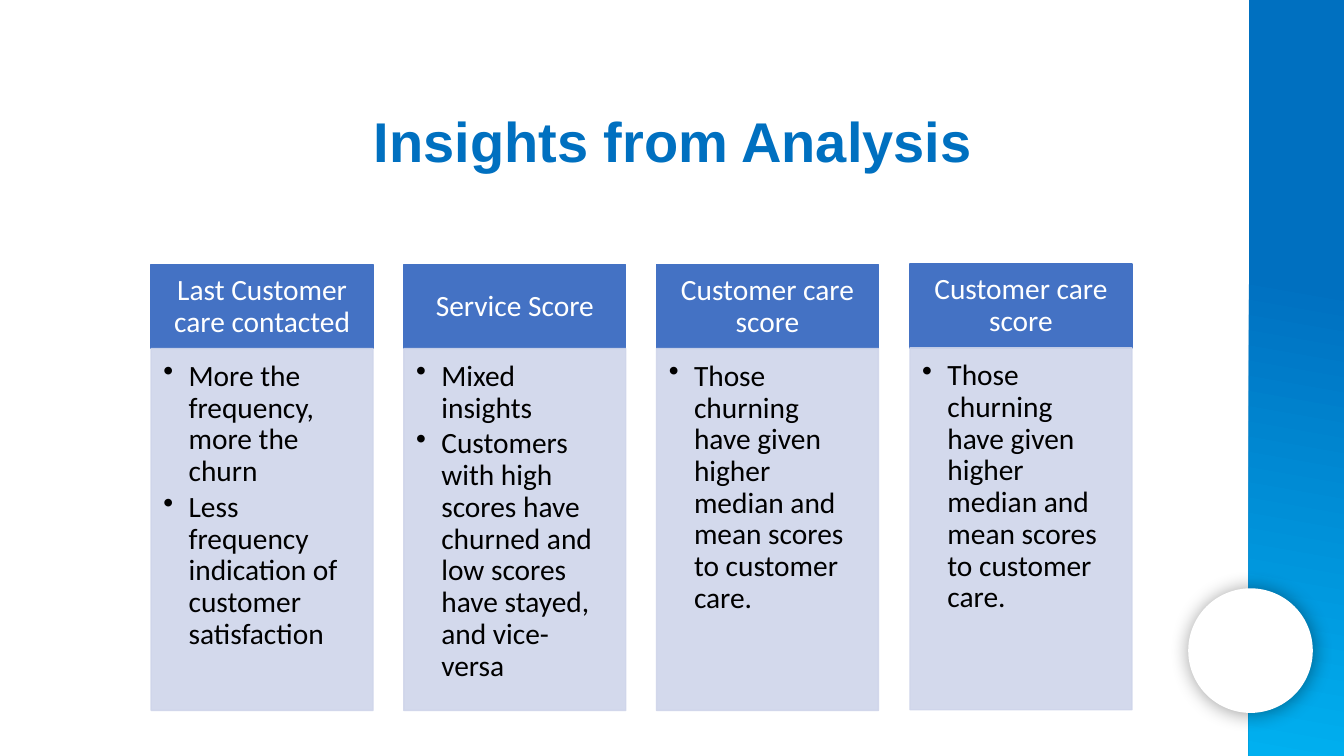
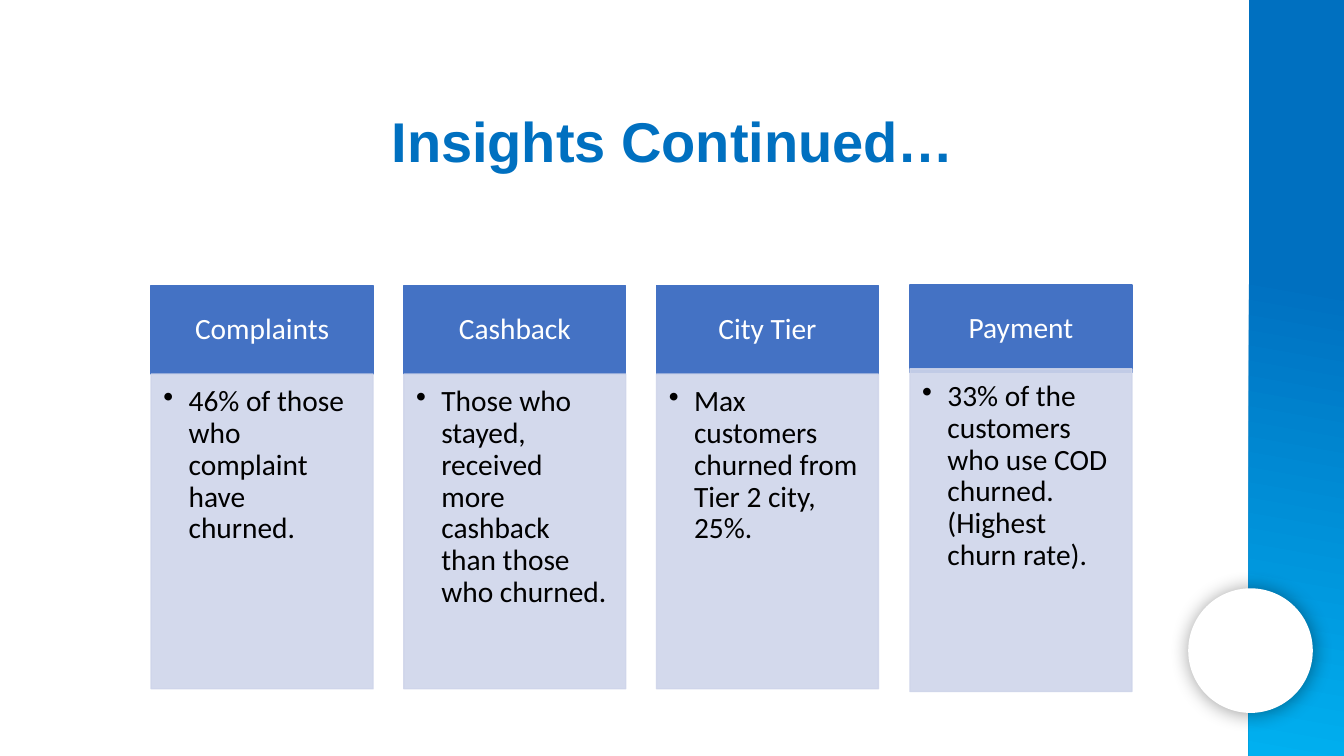
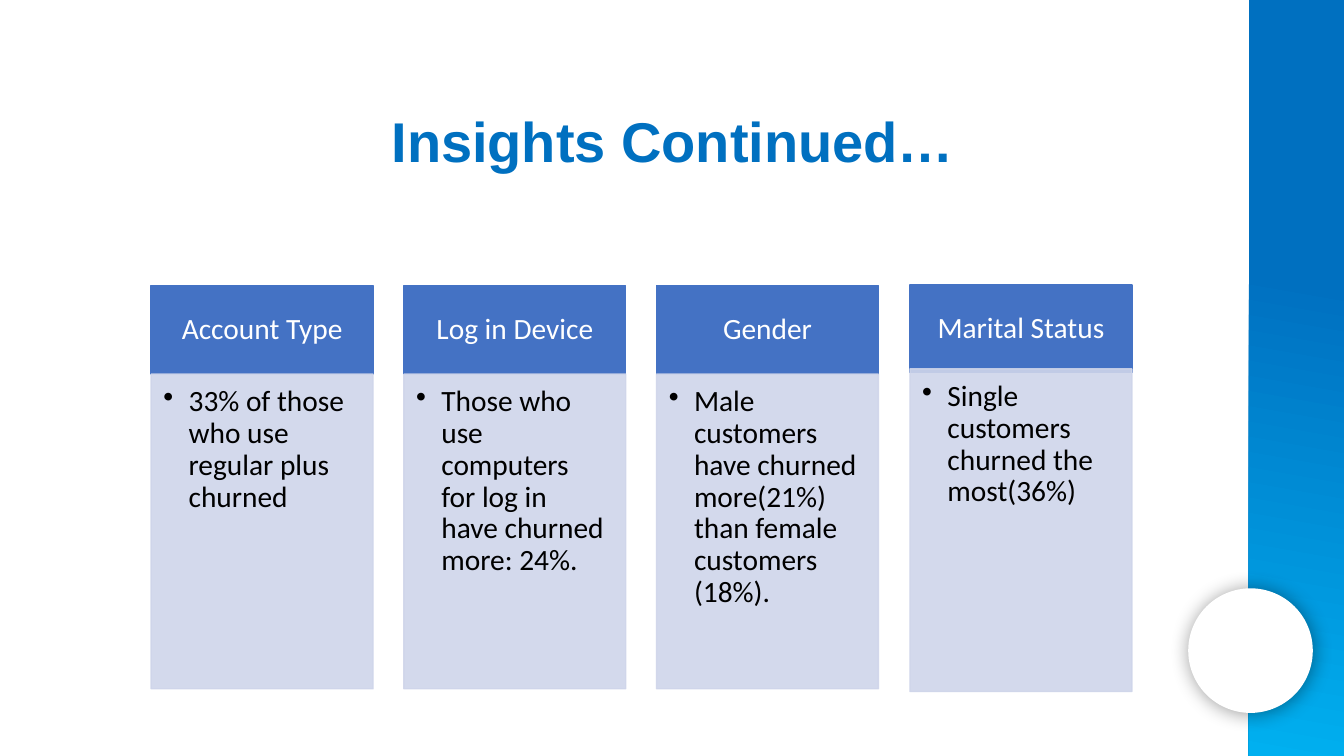
from lxml.etree import SubElement
from pptx import Presentation
from pptx.dml.color import RGBColor
from pptx.enum.shapes import MSO_SHAPE
from pptx.enum.text import MSO_ANCHOR, MSO_AUTO_SIZE, PP_ALIGN
from pptx.oxml.ns import qn
from pptx.util import Pt

COLORS = {name: RGBColor.from_string(value) for name, value in {
    "title": "0070C0",
    "band_end": "00B0F0",
    "header": "4472C4",
    "body": "CFD5EA",
    "white": "FFFFFF",
    "black": "000000",
}.items()}

# Each row layout: header top, header height, body top, body height
TALL = {"main": (189, 60, 249, 258.5), "last": (188.5, 60, 248.5, 258.5)}
SHORT = {"main": (204, 63.25, 267.25, 224.75), "last": (203.5, 62.5, 263.5, 230.5)}

CARE_SCORE = ("Customer care score", [
    "Those churning have given higher median and mean scores to customer care."])

SLIDES = [
    ("Insights from Analysis", TALL, [
        ("Last Customer care contacted", [
            "More the frequency, more the churn",
            "Less frequency indication of customer satisfaction"]),
        ("Service Score", [
            "Mixed insights",
            "Customers with high scores have churned and low scores have stayed, "
            "and vice-versa"]),
        CARE_SCORE,
        CARE_SCORE,
    ]),
    ("Insights Continued…", SHORT, [
        ("Complaints", ["46% of those who complaint have churned."]),
        ("Cashback", ["Those who stayed, received more cashback than those who churned."]),
        ("City Tier", ["Max customers churned from Tier 2 city, 25%."]),
        ("Payment", ["33% of the customers who use COD churned. (Highest churn rate)."]),
    ]),
    ("Insights Continued…", SHORT, [
        ("Account Type", ["33% of those who use regular plus churned"]),
        ("Log in Device", ["Those who use computers for log in have churned more: 24%."]),
        ("Gender", ["Male customers have churned more(21%) than female customers (18%)."]),
        ("Marital Status", ["Single customers churned the most(36%)"]),
    ]),
]

COLUMN_LEFT, COLUMN_STEP, COLUMN_WIDTH = 108, 180.5, 158.5
LAST_COLUMN_SHIFT = 0.5
HEADER_INSETS = (11.75, 6.75, 11.75, 6.75)
BODY_INSETS = (8.75, 8.75, 11.75, 13.25)
BULLET_INDENT = 18


def add_plain_shape(slide, kind, box, color=None):
    shape = slide.shapes.add_shape(kind, *(Pt(length) for length in box))
    shape.shadow.inherit = False
    shape.line.fill.background()
    if color:
        shape.fill.solid()
        shape.fill.fore_color.rgb = COLORS[color]
    return shape


def set_font(paragraph, name, size, color, bold=False):
    font = paragraph.font
    font.name, font.size, font.bold = name, Pt(size), bold
    font.color.rgb = COLORS[color]


def add_bullet(paragraph):
    properties = paragraph._p.get_or_add_pPr()
    properties.set("marL", str(Pt(BULLET_INDENT)))
    properties.set("indent", str(-Pt(BULLET_INDENT)))
    SubElement(properties, qn("a:buChar")).set("char", "•")


def add_soft_shadow(shape):
    effects = shape._element.spPr.find(qn("a:effectLst"))
    shadow = SubElement(effects, qn("a:outerShdw"), blurRad=str(Pt(14)),
                        dist=str(Pt(1)), dir=str(43 * 60000), rotWithShape="0")
    color = SubElement(shadow, qn("a:srgbClr"), val=str(COLORS["black"]))
    SubElement(color, qn("a:alpha"), val="40000")


def add_frame(slide, title):
    """Draw the side band, the circle on it and the title."""
    band = add_plain_shape(slide, MSO_SHAPE.RECTANGLE, (892, 0, 68, 540))
    band.fill.gradient()
    band.fill.gradient_angle = 260
    stops = ((0.37, "title"), (1, "band_end"))
    for stop, (position, color) in zip(band.fill.gradient_stops, stops):
        stop.position = position
        stop.color.rgb = COLORS[color]

    circle = add_plain_shape(slide, MSO_SHAPE.OVAL, (848.75, 420.25, 89, 89), "white")
    add_soft_shadow(circle)

    title_box = slide.shapes.add_textbox(Pt(60), Pt(72.5), Pt(841), Pt(55.5))
    frame = title_box.text_frame
    frame.word_wrap = True
    frame.auto_size = MSO_AUTO_SIZE.SHAPE_TO_FIT_TEXT
    paragraph = frame.paragraphs[0]
    paragraph.text = title
    paragraph.alignment = PP_ALIGN.CENTER
    set_font(paragraph, "Arial", 40, "title", bold=True)


def add_panel(slide, box, color, texts, text_color, insets, bulleted=False):
    panel = add_plain_shape(slide, MSO_SHAPE.RECTANGLE, box, color)
    panel.line.color.rgb = COLORS[color]
    panel.line.width = Pt(1)
    frame = panel.text_frame
    frame.word_wrap = True
    frame.vertical_anchor = MSO_ANCHOR.TOP if bulleted else MSO_ANCHOR.MIDDLE
    (frame.margin_left, frame.margin_top,
     frame.margin_right, frame.margin_bottom) = (Pt(inset) for inset in insets)
    for index, text in enumerate(texts):
        paragraph = frame.add_paragraph() if index else frame.paragraphs[0]
        paragraph.text = text
        paragraph.alignment = PP_ALIGN.LEFT if bulleted else PP_ALIGN.CENTER
        paragraph.line_spacing = 0.9
        if bulleted:
            paragraph.space_after = Pt(3)
            add_bullet(paragraph)
        set_font(paragraph, "Calibri", 21, text_color)
    return panel


def add_column(slide, left, rows, heading, points):
    header_top, header_height, body_top, body_height = rows
    add_panel(slide, (left, header_top, COLUMN_WIDTH, header_height),
              "header", [heading], "white", HEADER_INSETS)
    body = add_panel(slide, (left, body_top, COLUMN_WIDTH, body_height),
                     "body", points, "black", BODY_INSETS, bulleted=True)
    for color in body._element.spPr.iter(qn("a:srgbClr")):
        SubElement(color, qn("a:alpha"), val="90000")


def main():
    presentation = Presentation()
    presentation.slide_width, presentation.slide_height = Pt(960), Pt(540)
    for title, layout, columns in SLIDES:
        slide = presentation.slides.add_slide(presentation.slide_layouts[6])
        add_frame(slide, title)
        for index, (heading, points) in enumerate(columns):
            is_last = index == len(columns) - 1
            left = COLUMN_LEFT + index * COLUMN_STEP + is_last * LAST_COLUMN_SHIFT
            add_column(slide, left, layout["last" if is_last else "main"], heading, points)
    presentation.save("out.pptx")


if __name__ == "__main__":
    main()
